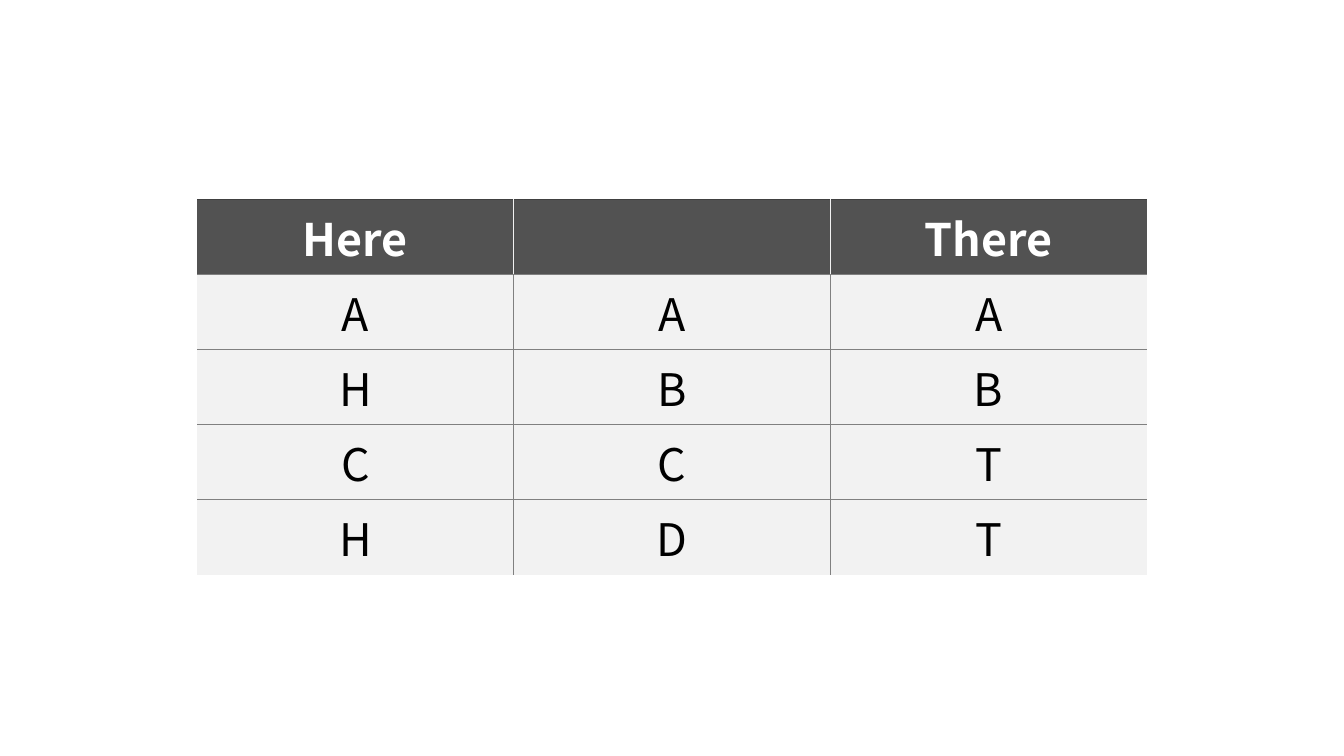
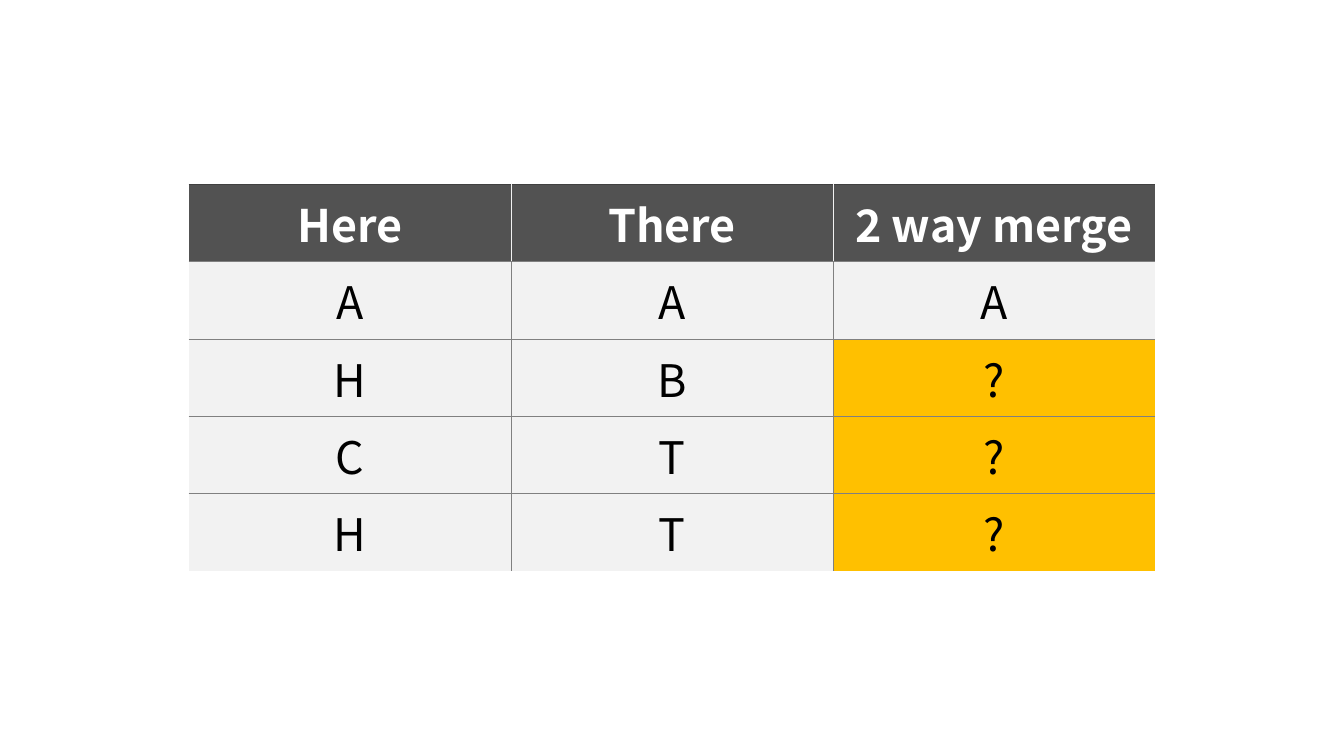
from lxml import etree
from pptx import Presentation
from pptx import util as u
from pptx.dml.color import RGBColor
from pptx.enum import text
from pptx.oxml.ns import qn

HUES = {"head": "525252", "body": "F2F2F2", "mark": "FFC000", "top": "404040",
        "grid": "808080", "split": "F2F2F2", "light": "FFFFFF", "dark": "000000"}
FONT = {"name": "Noto Sans CJK KR", "size": u.Pt(32)}
WIDE, HIGH = 33.87, 19.05


def edge(cell, side, hue, width=0.5):
    """Draw one border of a cell, or clear it when hue is None."""
    line = etree.SubElement(cell._tc.get_or_add_tcPr(), qn("a:ln" + side))
    line.set("w", str(u.Pt(width)))
    if hue is None:
        etree.SubElement(line, qn("a:noFill"))
    else:
        fill = etree.SubElement(line, qn("a:solidFill"))
        etree.SubElement(fill, qn("a:srgbClr")).set("val", HUES[hue])


def style(cell, words, head):
    """Fill a cell and set its text, centred both ways."""
    fill = "head" if head else "mark" if words == "?" else "body"
    cell.fill.solid()
    cell.fill.fore_color.rgb = RGBColor.from_string(HUES[fill])
    cell.vertical_anchor = text.MSO_ANCHOR.MIDDLE
    if not words:
        return
    para = cell.text_frame.paragraphs[0]
    para.alignment = text.PP_ALIGN.CENTER
    run = para.add_run()
    run.text = words
    for key, value in {**FONT, "bold": head}.items():
        setattr(run.font, key, value)
    run.font.color.rgb = RGBColor.from_string(HUES["light" if head else "dark"])


deck = Presentation()
deck.slide_width, deck.slide_height = u.Cm(WIDE), u.Cm(HIGH)

# Each table: top, column width, row height (cm), rows of text
tables = [
    (5.02, 7.98, 1.8, [["Here", "", "There"],
                       ["A", "A", "A"],
                       ["H", "B", "B"],
                       ["C", "C", "T"],
                       ["H", "D", "T"]]),
    (4.64, 8.12, 1.95, [["Here", "There", "2 way merge"],
                        ["A", "A", "A"],
                        ["H", "B", "?"],
                        ["C", "T", "?"],
                        ["H", "T", "?"]]),
]

for top, width, height, rows in tables:
    slide = deck.slides.add_slide(deck.slide_layouts[6])
    count, cols = len(rows), len(rows[0])
    left = (WIDE - cols * width) / 2
    table = slide.shapes.add_table(count, cols, u.Cm(left), u.Cm(top),
                                   u.Cm(cols * width), u.Cm(count * height)).table
    for col in table.columns:
        col.width = u.Cm(width)
    for row in table.rows:
        row.height = u.Cm(height)

    for r, row in enumerate(rows):
        head = r == 0
        inner = "split" if head else "grid"
        for c, words in enumerate(row):
            cell = table.cell(r, c)
            edge(cell, "L", inner if c else None)
            edge(cell, "R", inner if c < cols - 1 else None)
            edge(cell, "T", "top" if head else "grid", 1 if head else 0.5)
            edge(cell, "B", "grid" if r < count - 1 else None)
            style(cell, words, head)

deck.save("out.pptx")
